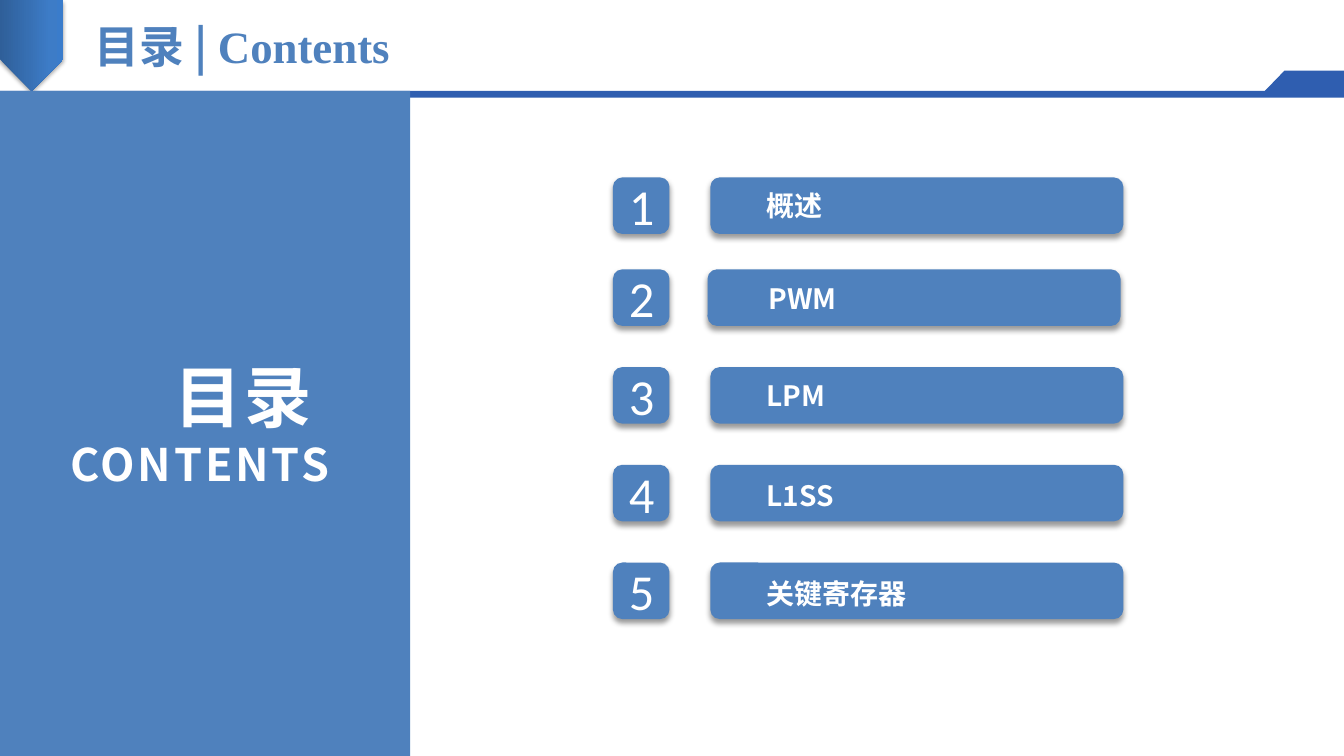
from lxml.etree import SubElement
from pptx import Presentation
from pptx.dml.color import RGBColor
from pptx.enum.shapes import MSO_SHAPE
from pptx.enum.text import MSO_ANCHOR, PP_ALIGN
from pptx.oxml import parse_xml
from pptx.oxml.ns import nsdecls, qn
from pptx.util import Pt

HEADING = ("目录 | ", "Contents")
PANEL = (("目录 ", 48), ("CONTENTS", 32))
# label, row top, bar left, label left and top offset inside the row
ITEMS = [
    ("概述", 126.7, 507.4, 538, 3),
    ("PWM", 192.4, 505.4, 539.5, 3.5),
    ("LPM", 262.2, 507.4, 538, 3.5),
    ("L1SS", 332, 507.4, 538, 5),
    ("关键寄存器", 401.8, 507.4, 538, 5),
]
THEME = {
    "blue": "4F81BD", "rule": "2F5EB0", "white": "FFFFFF", "shadow": "000000",
    "ribbon": ((0, "2F5F99"), (80, "3D7CC7"), (100, "3A7CCB")),
    "cjk": "Noto Sans CJK SC", "serif": "Times New Roman", "digit": "Calibri",
    "heading": 32, "number": 36, "label": 20,
}
W, H = 960, 540
HEADER_H = 65
PANEL_W = 293
BADGE_X, ROW_H, BAR_W = 437.8, 40.4, 295
INSETS = (9.5, 5)

prs = Presentation()
prs.slide_width, prs.slide_height = Pt(W), Pt(H)
s = prs.slides.add_slide(prs.slide_layouts[6])


def paint(sp, color):
    sp.fill.solid()
    sp.fill.fore_color.rgb = RGBColor.from_string(color)
    sp.line.fill.background()
    sp.shadow.inherit = False


def add_box(kind, x, y, w, h, color):
    sp = s.shapes.add_shape(kind, Pt(x), Pt(y), Pt(w), Pt(h))
    paint(sp, color)
    return sp


def cast_shadow(sp, blur, dist, alpha):
    effects = sp._element.spPr.find(qn("a:effectLst"))
    shadow = SubElement(effects, qn("a:outerShdw"), blurRad=str(Pt(blur)),
                        dist=str(Pt(dist)), dir="5400000", rotWithShape="0")
    color = SubElement(shadow, qn("a:srgbClr"), val=THEME["shadow"])
    SubElement(color, qn("a:alpha"), val=str(alpha * 1000))


def fill_ribbon(sp):
    """Swap the solid fill for the three-stop gradient of the ribbon."""
    stops = "".join(f'<a:gs pos="{pos * 1000}"><a:srgbClr val="{color}"/></a:gs>'
                    for pos, color in THEME["ribbon"])
    grad = parse_xml(f'<a:gradFill {nsdecls("a")} rotWithShape="1"><a:gsLst>{stops}'
                     '</a:gsLst><a:lin ang="16200000" scaled="0"/></a:gradFill>')
    spPr = sp._element.spPr
    spPr.replace(spPr.find(qn("a:solidFill")), grad)


def add_run(p, text, size, font, color, bold=True, spacing=0):
    r = p.add_run()
    r.text = text
    r.font.size, r.font.name, r.font.bold = Pt(size), font, bold
    r.font.color.rgb = RGBColor.from_string(color)
    rPr = r._r.get_or_add_rPr()
    SubElement(rPr, qn("a:ea"), typeface=font)
    if spacing:
        rPr.set("spc", str(spacing * 100))


def set_insets(tf, dx, dy):
    tf.margin_left = tf.margin_right = Pt(dx)
    tf.margin_top = tf.margin_bottom = Pt(dy)


def add_text(x, y, w, h, insets=INSETS):
    tf = s.shapes.add_textbox(Pt(x), Pt(y), Pt(w), Pt(h)).text_frame
    tf.word_wrap = True
    set_insets(tf, *insets)
    return tf


def add_header():
    ribbon = add_box(MSO_SHAPE.PENTAGON, -10, 10, HEADER_H, 45, THEME["blue"])
    ribbon.rotation = 90
    fill_ribbon(ribbon)
    cast_shadow(ribbon, 3.1, 1.8, 35)

    add_box(MSO_SHAPE.RECTANGLE, 0, HEADER_H, W, 4.7, THEME["rule"])
    outline = s.shapes.build_freeform(Pt(W), Pt(67.5))
    corners = ((901, 67.5), (917.5, 50.5), (W, 50.5))
    outline.add_line_segments([(Pt(x), Pt(y)) for x, y in corners], close=True)
    paint(outline.convert_to_shape(), THEME["rule"])

    tf = add_text(60.5, 0, 795, HEADER_H, (7.2, 3.6))
    tf.vertical_anchor = MSO_ANCHOR.MIDDLE
    for text, font in zip(HEADING, (THEME["cjk"], THEME["serif"])):
        add_run(tf.paragraphs[0], text, THEME["heading"], font, THEME["blue"])


def add_panel():
    add_box(MSO_SHAPE.RECTANGLE, 0, HEADER_H, PANEL_W, H - HEADER_H, THEME["blue"])
    tf = add_text(23.8, 249, 221, 106.5)
    for i, (text, size) in enumerate(PANEL):
        p = tf.add_paragraph() if i else tf.paragraphs[0]
        p.alignment = PP_ALIGN.RIGHT
        add_run(p, text, size, THEME["cjk"], THEME["white"], spacing=2)


def add_item(number, label, top, bar_x, label_x, label_dy):
    badge, bar = [add_box(MSO_SHAPE.ROUNDED_RECTANGLE, x, top, w, ROW_H, THEME["blue"])
                  for x, w in ((BADGE_X, ROW_H), (bar_x, BAR_W))]
    for sp in (badge, bar):
        cast_shadow(sp, 4, 3, 40)
    tf = badge.text_frame
    set_insets(tf, *INSETS)
    tf.vertical_anchor = MSO_ANCHOR.MIDDLE
    p = tf.paragraphs[0]
    p.alignment = PP_ALIGN.CENTER
    add_run(p, str(number), THEME["number"], THEME["digit"], THEME["white"], bold=False)

    tf = add_text(label_x, top + label_dy, 212, 34)
    add_run(tf.paragraphs[0], label, THEME["label"], THEME["cjk"], THEME["white"])


add_header()
add_panel()
for number, item in enumerate(ITEMS, 1):
    add_item(number, *item)
prs.save("out.pptx")
